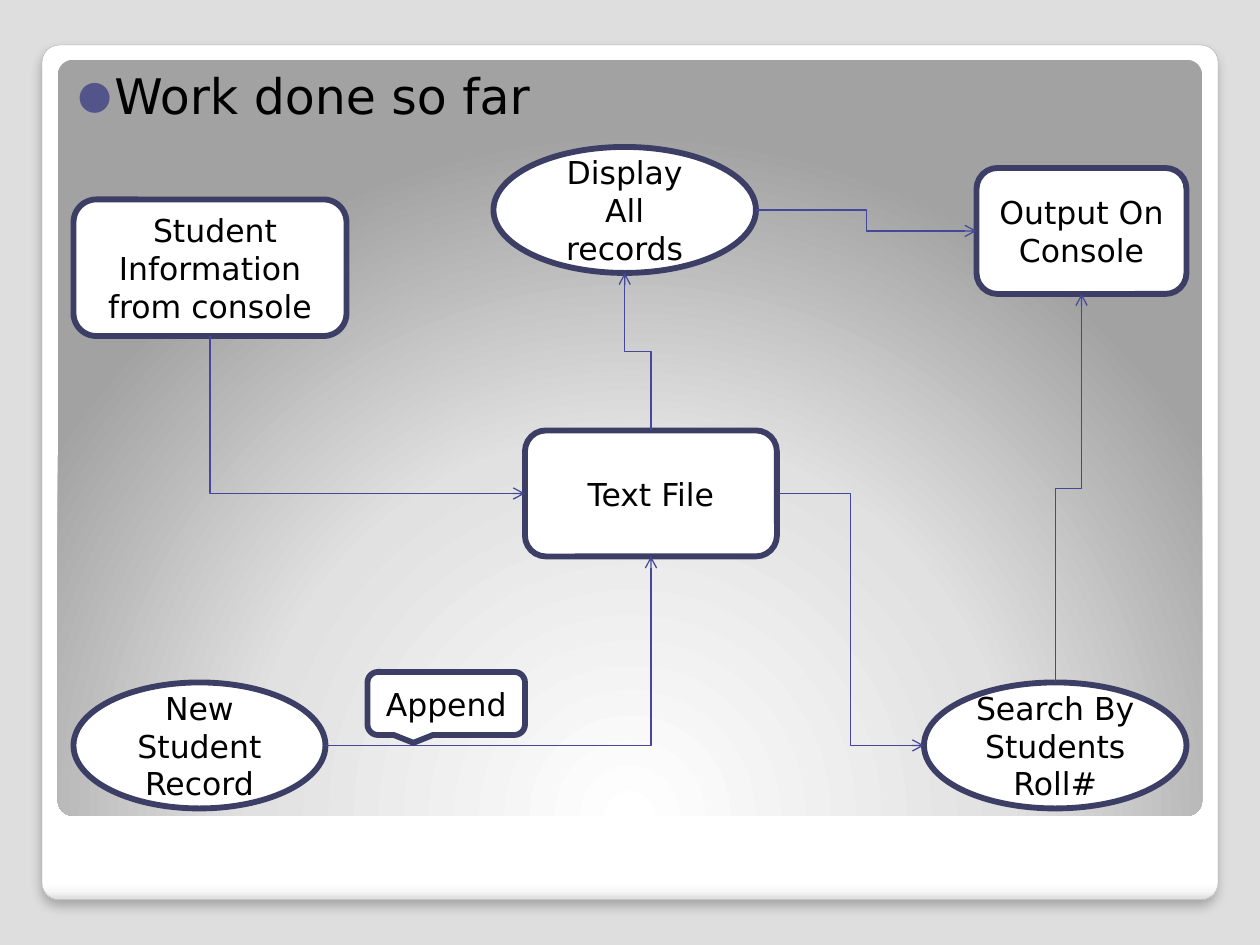
from lxml.etree import SubElement
from pptx import Presentation
from pptx.dml.color import RGBColor
from pptx.enum.shapes import MSO_CONNECTOR, MSO_SHAPE as SHAPE
from pptx.enum.text import MSO_ANCHOR, MSO_AUTO_SIZE, PP_ALIGN
from pptx.oxml.ns import qn
from pptx.util import Pt

PX = 7620  # EMU in one px, 120 px to the inch
FONT = "DejaVu Sans"
WHITE, BLACK = "FFFFFF", "000000"
BORDER, ARROW, BULLET = "3D3E66", "454798", "53548A"


def px(*lengths):
    return [round(n * PX) for n in lengths]


def rgb(value):
    return RGBColor.from_string(value)


def child(parent, tag, **attrs):
    return SubElement(parent, qn(tag), {k: str(v) for k, v in attrs.items()})


def set_font(p, size):
    p.font.name, p.font.size = FONT, Pt(size)
    p.font.color.rgb = rgb(BLACK)


def add_panel(s, box, stops):
    """Rounded panel; returns it with its gradient element, still undirected."""
    sp = s.shapes.add_shape(SHAPE.ROUNDED_RECTANGLE, *px(*box))
    sp.adjustments[0] = 0.02
    sp.shadow.inherit = False
    sp.line.fill.background()
    sp.fill.gradient()
    grad = sp._element.spPr.find(qn("a:gradFill"))
    for part in list(grad):
        grad.remove(part)
    stop_list = child(grad, "a:gsLst")
    for pos, color in stops:
        stop = child(stop_list, "a:gs", pos=pos * 1000)
        child(stop, "a:srgbClr", val=color)
    return sp, grad


def add_frame(s):
    # White card with a soft shadow
    card, grad = add_panel(s, (40, 43, 1120, 814), [
        (0, WHITE), (98, WHITE), (99, "F7F7F7"), (100, "DADADA")])
    child(grad, "a:lin", ang=90 * 60000, scaled=0)
    card.line.color.rgb = rgb("A4A4A4")
    card.line.width = Pt(0.16)
    effects = card._element.spPr.find(qn("a:effectLst"))
    shadow = child(effects, "a:outerShdw", blurRad=Pt(6), dist=Pt(4),
                   dir=90 * 60000, algn="t", rotWithShape=0)
    child(child(shadow, "a:srgbClr", val=BLACK), "a:alpha", val=25000)

    # Grey panel lit from below
    _, grad = add_panel(s, (55, 57, 1090, 720), [
        (0, WHITE), (55, "E1E1E1"), (100, "A2A2A2")])
    child(child(grad, "a:path", path="circle"), "a:fillToRect",
          l=50000, t=175000, r=50000, b=-75000)


def add_body(s, body, box, text):
    s.shapes._spTree.append(body._element)  # in front of the panels
    body.left, body.top, body.width, body.height = px(*box)
    tf = body.text_frame
    tf.auto_size = MSO_AUTO_SIZE.NONE
    tf.vertical_anchor = MSO_ANCHOR.TOP
    tf.margin_left, tf.margin_top, tf.margin_right, tf.margin_bottom = px(24, 12, 12, 6)
    p = tf.paragraphs[0]
    p.text = text
    p.space_before = Pt(2.5)
    pPr = p._p.get_or_add_pPr()
    indent = px(35)[0]
    pPr.set("marL", str(indent))
    pPr.set("indent", str(-indent))
    child(child(pPr, "a:buClr"), "a:srgbClr", val=BULLET)
    child(pPr, "a:buSzPct", val=80000)
    child(pPr, "a:buFont", typeface=FONT)
    child(pPr, "a:buChar", char="●")
    set_font(p, 28)


def add_node(s, kind, box, text):
    sp = s.shapes.add_shape(kind, *px(*box))
    sp.shadow.inherit = False
    sp.fill.solid()
    sp.fill.fore_color.rgb = rgb(WHITE)
    sp.line.color.rgb = rgb(BORDER)
    sp.line.width = Pt(3.35)
    tf = sp.text_frame
    tf.word_wrap = True
    tf.vertical_anchor = MSO_ANCHOR.MIDDLE
    p = tf.paragraphs[0]
    p.text = text
    p.alignment = PP_ALIGN.CENTER
    set_font(p, 18)


def side_point(box, side):
    x, y, w, h = box
    return {"top": (x + w / 2, y), "bottom": (x + w / 2, y + h),
            "left": (x, y + h / 2), "right": (x + w, y + h / 2)}[side]


def add_elbow(s, start_box, start_side, end_box, end_side):
    (x1, y1), (x2, y2) = side_point(start_box, start_side), side_point(end_box, end_side)
    mid_x, mid_y = (x1 + x2) / 2, (y1 + y2) / 2
    dx, dy = x2 - x1, y2 - y1
    upright = start_side in ("top", "bottom")
    turn = 1 if dx * dy < 0 else -1
    if upright:  # the first leg is vertical: quarter turn about the middle
        dx, dy = turn * dy, -turn * dx
    line = s.shapes.add_connector(MSO_CONNECTOR.ELBOW, *px(
        mid_x - dx / 2, mid_y - dy / 2, mid_x + dx / 2, mid_y + dy / 2))
    line.line.color.rgb = rgb(ARROW)
    line.line.width = Pt(0.75)
    spPr = line._element.spPr
    if upright:
        spPr.find(qn("a:xfrm")).set("rot", str((turn * 90 % 360) * 60000))
    if upright != (end_side in ("top", "bottom")):  # a single corner
        spPr.find(qn("a:prstGeom")).set("prst", "bentConnector2")
    child(spPr.find(qn("a:ln")), "a:tailEnd", type="arrow")
    child(spPr, "a:effectLst")


def add_flow(s):
    rounded, oval = SHAPE.ROUNDED_RECTANGLE, SHAPE.OVAL
    nodes = {
        "student": (rounded, (70, 190, 260, 130), " Student Information from console"),
        "output": (rounded, (930, 160, 200, 120), "Output On Console"),
        "file": (rounded, (500, 410, 240, 120), "Text File"),
        "new": (oval, (70, 650, 240, 120), "New Student Record"),
        "search": (oval, (880, 650, 250, 120), "Search By Students Roll#"),
        "display": (oval, (470, 140, 250, 120), "Display All records"),
    }
    links = [
        ("student", "bottom", "file", "left"),
        ("new", "right", "file", "bottom"),
        ("file", "right", "search", "left"),
        ("display", "right", "output", "left"),
        ("file", "top", "display", "bottom"),
        ("search", "top", "output", "bottom"),
    ]
    for kind, box, text in nodes.values():
        add_node(s, kind, box, text)
    for start, start_side, end, end_side in links:
        add_elbow(s, nodes[start][1], start_side, nodes[end][1], end_side)
    # Label on the new record's arrow
    add_node(s, SHAPE.ROUNDED_RECTANGULAR_CALLOUT, (350, 640, 150, 60), "Append")


def main():
    prs = Presentation()
    prs.slide_width, prs.slide_height = px(1200, 900)
    s = prs.slides.add_slide(prs.slide_layouts[1])
    s.background.fill.solid()
    s.background.fill.fore_color.rgb = rgb("DEDEDE")
    title, body = s.placeholders
    title._element.getparent().remove(title._element)
    add_frame(s)
    add_body(s, body, (50, 50, 1074, 800), "Work done so far")
    add_flow(s)
    prs.save("out.pptx")


if __name__ == "__main__":
    main()
